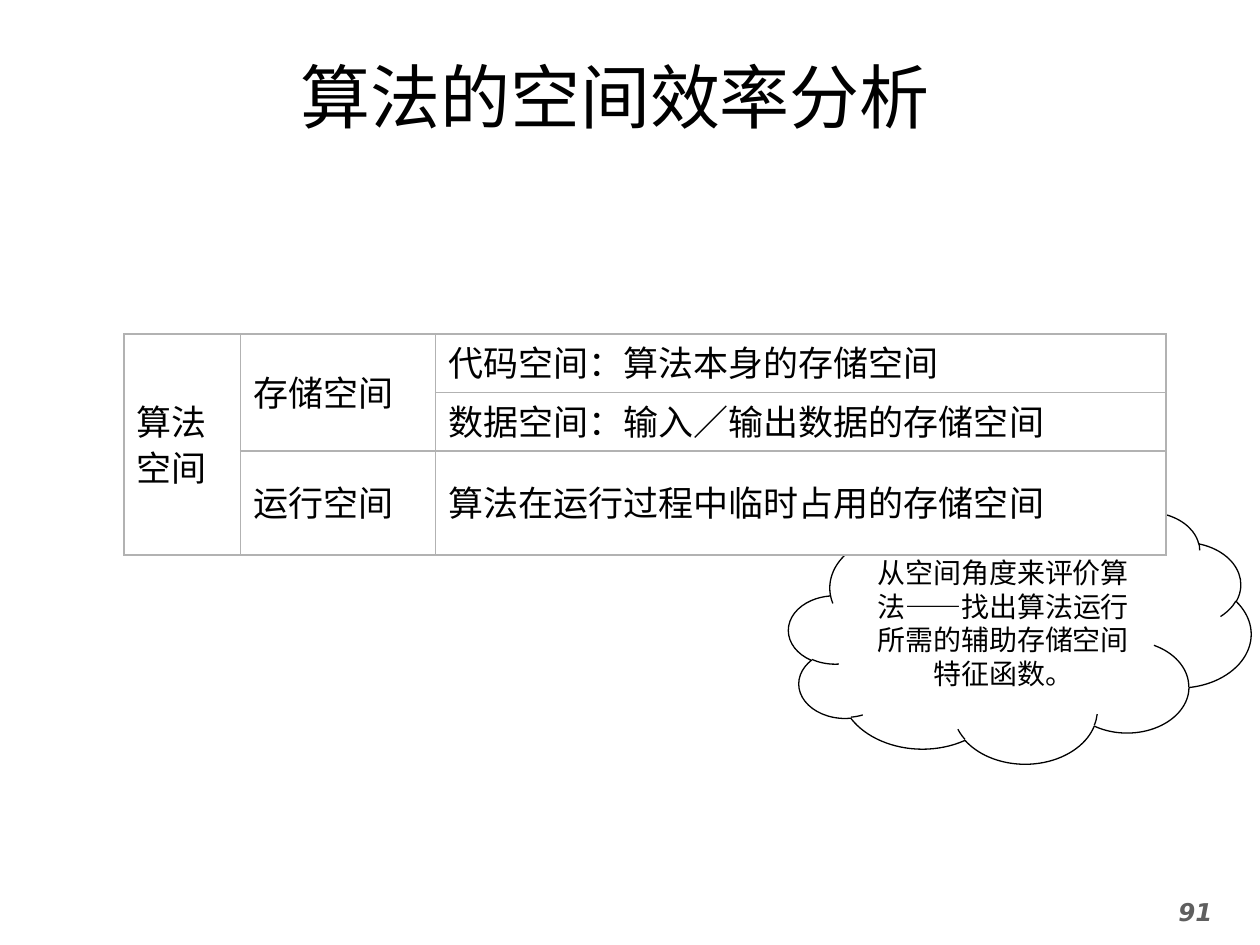
import lxml.etree
import pptx
import pptx.dml.color
import pptx.enum.shapes
import pptx.enum.text
import pptx.oxml.ns
import pptx.util

Cm, Pt = pptx.util.Cm, pptx.util.Pt
ALIGN = pptx.enum.text.PP_ALIGN
MIDDLE = pptx.enum.text.MSO_ANCHOR.MIDDLE
qn = pptx.oxml.ns.qn

COLORS = {"text": "000000", "paper": "FFFFFF", "border": "B2B2B2", "number": "5F5F5F"}
TITLE_FONT, BODY_FONT, NUMBER_FONT = "Noto Sans CJK JP", "Noto Sans CJK SC", "DejaVu Sans"

COLUMN_WIDTHS = (2.35, 3.93, 14.73)
ROW_HEIGHTS = (1.18, 1.18, 2.1)
# row, column, rows spanned, text
CELLS = (
    (0, 0, 3, "算法空间"),
    (0, 1, 2, "存储空间"),
    (0, 2, 1, "代码空间：算法本身的存储空间"),
    (1, 2, 1, "数据空间：输入／输出数据的存储空间"),
    (2, 1, 1, "运行空间"),
    (2, 2, 1, "算法在运行过程中临时占用的存储空间"),
)


def rgb(name):
    return pptx.dml.color.RGBColor.from_string(COLORS[name])


def write(frame, text, font_name, size, color="text", alignment=ALIGN.LEFT):
    """Fill the frame with one styled paragraph and return it."""
    frame.word_wrap = True
    paragraph = frame.paragraphs[0]
    paragraph.text = text
    paragraph.alignment = alignment
    font = paragraph.font
    font.name, font.size = font_name, Pt(size)
    font.color.rgb = rgb(color)
    properties = paragraph._p.pPr.find(qn("a:defRPr"))
    lxml.etree.SubElement(properties, qn("a:ea"), typeface=font_name)
    return paragraph


def add_cloud(slide, left, top, width, height):
    cloud = slide.shapes.add_shape(
        pptx.enum.shapes.MSO_SHAPE.CLOUD_CALLOUT, Cm(left), Cm(top), Cm(width), Cm(height))
    cloud.adjustments[0], cloud.adjustments[1] = -0.13, -0.84
    cloud.shadow.inherit = False
    cloud.fill.solid()
    cloud.fill.fore_color.rgb = rgb("paper")
    cloud.line.color.rgb = rgb("text")
    cloud.line.width = Pt(0.75)
    cloud.text_frame.vertical_anchor = pptx.enum.text.MSO_ANCHOR.TOP
    write(cloud.text_frame, "从空间角度来评价算法——找出算法运行所需的辅助存储空间特征函数。",
          BODY_FONT, 16, alignment=ALIGN.CENTER)


def add_page_number(slide, left, top, width, height):
    box = slide.shapes.add_textbox(Cm(left), Cm(top), Cm(width), Cm(height))
    paragraph = write(box.text_frame, "91", NUMBER_FONT, 14, "number", ALIGN.CENTER)
    paragraph.font.bold = paragraph.font.italic = True


def add_title(slide, left, top, width, height):
    box = slide.shapes.add_textbox(Cm(left), Cm(top), Cm(width), Cm(height))
    box.text_frame.vertical_anchor = MIDDLE
    write(box.text_frame, "算法的空间效率分析", TITLE_FONT, 40, alignment=ALIGN.CENTER)


def style_cell(cell):
    properties = cell._tc.get_or_add_tcPr()
    for side in ("lnL", "lnR", "lnT", "lnB"):
        line = lxml.etree.SubElement(properties, qn("a:" + side), w=str(Pt(1)))
        fill = lxml.etree.SubElement(line, qn("a:solidFill"))
        lxml.etree.SubElement(fill, qn("a:srgbClr"), val=COLORS["border"])
    cell.fill.solid()
    cell.fill.fore_color.rgb = rgb("paper")
    cell.vertical_anchor = MIDDLE


def add_space_table(slide, left, top):
    table = slide.shapes.add_table(
        len(ROW_HEIGHTS), len(COLUMN_WIDTHS), Cm(left), Cm(top),
        Cm(sum(COLUMN_WIDTHS)), Cm(sum(ROW_HEIGHTS))).table
    table.first_row = table.horz_banding = False
    for column, width in zip(table.columns, COLUMN_WIDTHS):
        column.width = Cm(width)
    for row, height in zip(table.rows, ROW_HEIGHTS):
        row.height = Cm(height)
    for cell in table.iter_cells():
        style_cell(cell)
    for row, column, span, text in CELLS:
        cell = table.cell(row, column)
        if span > 1:
            cell.merge(table.cell(row + span - 1, column))
        paragraph = write(cell.text_frame, text, BODY_FONT, 20)
        paragraph.line_spacing = 0.9


def main():
    presentation = pptx.Presentation()
    presentation.slide_width, presentation.slide_height = Cm(25.4), Cm(19.05)
    slide = presentation.slides.add_slide(presentation.slide_layouts[6])
    add_cloud(slide, 15.9, 10.31, 9.32, 5.08)
    add_page_number(slide, 22.8, 17.95, 2.6, 1.1)
    add_title(slide, 3.3, 0.95, 18.2, 1.95)
    add_space_table(slide, 2.5, 6.73)
    presentation.save("out.pptx")


if __name__ == "__main__":
    main()
